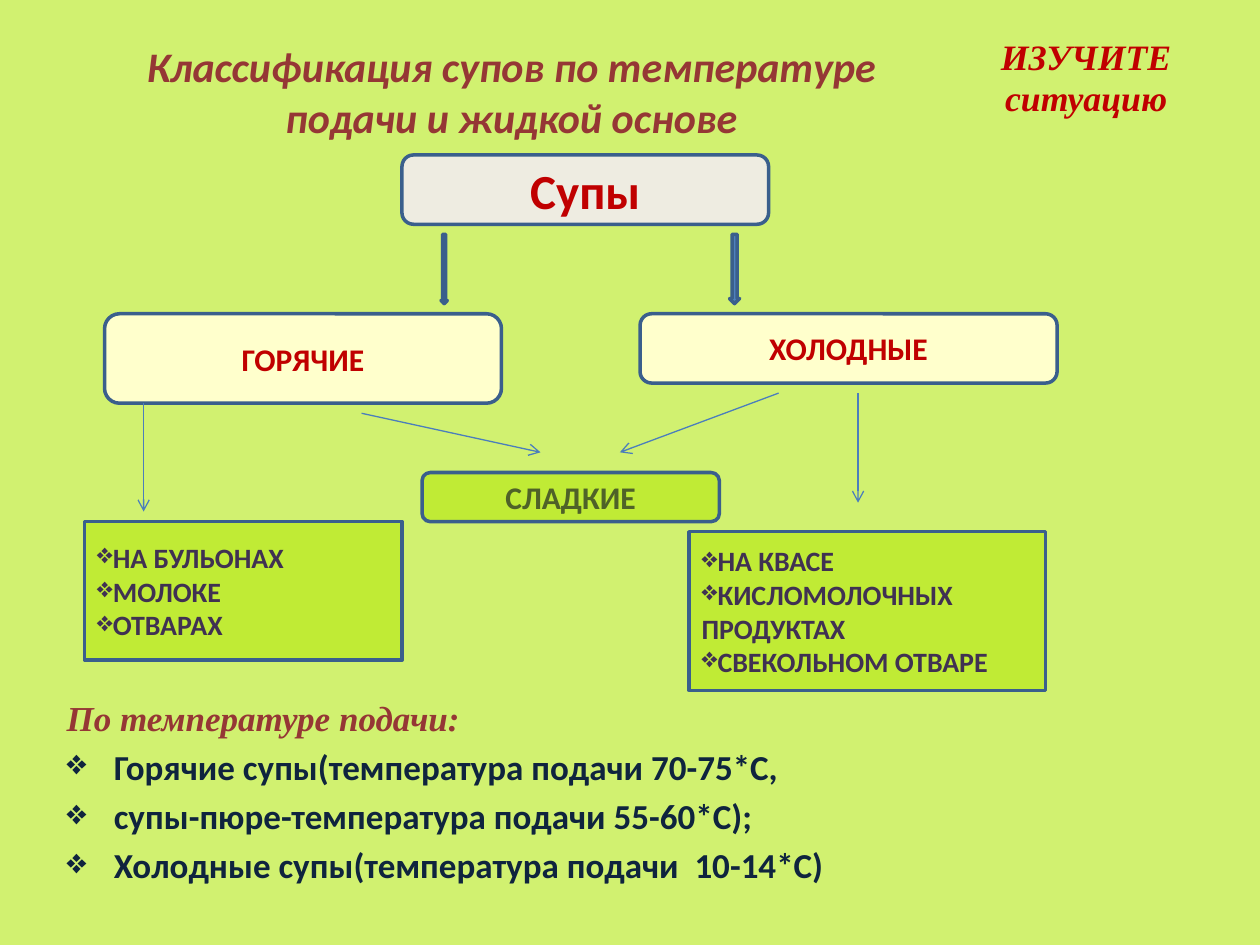
import pptx
import pptx.util
import pptx.dml.color
import pptx.enum.shapes
import pptx.enum.text
import pptx.oxml
import pptx.oxml.ns
from dataclasses import dataclass

COLS, ROWS = 100, 75
KIND = pptx.enum.shapes.MSO_SHAPE
ALIGN = pptx.enum.text.PP_ALIGN
ANCHOR = pptx.enum.text.MSO_ANCHOR


@dataclass(frozen=True)
class Theme:
    back: str = "D1F170"
    lime: str = "C0EB35"
    cream: str = "FFFFCC"
    stone: str = "EEECE1"
    blue: str = "4F81BD"
    edge: str = "3A5F8C"
    link: str = "4B7EBC"
    red: str = "C00000"
    brown: str = "953735"
    green: str = "4F6228"
    plum: str = "403152"
    navy: str = "0F243E"
    sans: str = "Calibri"
    serif: str = "Times New Roman"
    top: float = 28
    title: float = 24
    note: float = 20.4
    body: float = 20
    label: float = 18
    item: float = 16
    border: float = 2
    thin: float = 0.75


T = Theme()


def cell(count):
    """Length of a number of grid cells; the grid is square."""
    return pptx.util.Inches(count * 10 / COLS)


def place(*counts):
    return [cell(count) for count in counts]


def rgb(code):
    return pptx.dml.color.RGBColor.from_string(code)


def style(color, size, name=T.sans, italic=False):
    return dict(color=color, size=size, name=name, bold=True, italic=italic)


def bullet(para, indent):
    props = para._p.get_or_add_pPr()
    props.set("marL", str(indent))
    props.set("indent", str(-indent))
    mark = pptx.oxml.ns.qn("a:buChar")
    props.append(props.makeelement(mark, {"char": "❖"}))


def write(frame, lines, align=ALIGN.LEFT, indent=0, lead=None, gap=0):
    """Fill a frame with lines given as (text, style, bulleted)."""
    frame.word_wrap = True
    for rank, (text, look, marked) in enumerate(lines):
        para = frame.add_paragraph() if rank else frame.paragraphs[0]
        if marked:
            bullet(para, cell(indent))
        form = dict(alignment=align, line_spacing=lead)
        if rank and gap:
            form["space_before"] = pptx.util.Pt(gap)
        for key, value in form.items():
            setattr(para, key, value)
        run = para.add_run()
        run.text = text
        for key, value in look.items():
            if key == "color":
                run.font.color.rgb = rgb(value)
            else:
                setattr(run.font, key, pptx.util.Pt(value) if key == "size" else value)


def add_text(slide, spot, lines, anchor=ANCHOR.TOP, inset=1, **form):
    frame = slide.shapes.add_textbox(*place(*spot)).text_frame
    frame.vertical_anchor = anchor
    frame.margin_left = frame.margin_right = cell(inset)
    write(frame, lines, **form)


def add_box(slide, kind, spot, fill, lines=(), align=ALIGN.CENTER):
    box = slide.shapes.add_shape(kind, *place(*spot))
    box.shadow.inherit = False
    box.fill.solid()
    box.fill.fore_color.rgb = rgb(fill)
    box.line.color.rgb = rgb(T.edge)
    box.line.width = pptx.util.Pt(T.border)
    box.text_frame.vertical_anchor = ANCHOR.MIDDLE
    write(box.text_frame, lines, align)


def add_arrow(slide, ends):
    straight = pptx.enum.shapes.MSO_CONNECTOR.STRAIGHT
    arrow = slide.shapes.add_connector(straight, *place(*ends))
    arrow.line.color.rgb = rgb(T.link)
    arrow.line.width = pptx.util.Pt(T.thin)
    line = arrow.line._get_or_add_ln()
    line.append(line.makeelement(pptx.oxml.ns.qn("a:tailEnd"), {"type": "arrow"}))
    props = arrow._element.spPr
    props.append(props.makeelement(pptx.oxml.ns.qn("a:effectLst"), {}))


def add_heads(slide):
    add_text(slide, (5.1, 2.9, 71, 8.7),
             [("Классификация супов по температуре подачи и жидкой основе",
               style(T.brown, T.title, italic=True), False)],
             anchor=ANCHOR.MIDDLE, inset=3, align=ALIGN.CENTER)
    look = style(T.red, T.note, T.serif, True)
    add_text(slide, (75.2, 2.9, 22, 7.4),
             [(word, look, False) for word in ("ИЗУЧИТЕ", "ситуацию")],
             align=ALIGN.CENTER, lead=0.8, gap=4)


def add_tree(slide):
    labels = [
        ("Супы", (31.9, 12.3, 29.1, 5.5), T.stone, T.red, T.top),
        ("ГОРЯЧИЕ", (8.3, 24.9, 31.5, 7.1), T.cream, T.red, T.label),
        ("ХОЛОДНЫЕ", (50.8, 24.9, 33.1, 5.5), T.cream, T.red, T.label),
        ("СЛАДКИЕ", (33.5, 37.5, 23.6, 3.9), T.lime, T.green, T.label),
    ]
    for text, spot, fill, color, size in labels:
        add_box(slide, KIND.ROUNDED_RECTANGLE, spot, fill,
                [(text, style(color, size), False)])
    for left, width in ((57.9, 0.8), (35, 0.5)):
        add_box(slide, KIND.DOWN_ARROW, (left, 18.6, width, 5.5), T.blue)
    for ends in ((28.7, 32.8, 42.9, 35.9), (61.8, 31.2, 49.2, 35.9),
                 (11.4, 32, 11.4, 40.6), (68.1, 31.2, 68.1, 39.9)):
        add_arrow(slide, ends)
    lists = [
        ((54.7, 42.2, 28.3, 12.6),
         ("НА КВАСЕ", "КИСЛОМОЛОЧНЫХ ПРОДУКТАХ", "СВЕКОЛЬНОМ ОТВАРЕ")),
        ((6.7, 41.4, 25.2, 11), ("НА БУЛЬОНАХ", "МОЛОКЕ", "ОТВАРАХ")),
    ]
    look = style(T.plum, T.item)
    for spot, items in lists:
        add_box(slide, KIND.RECTANGLE, spot, T.lime,
                [(item, look, True) for item in items], ALIGN.LEFT)


def add_notes(slide):
    items = ("Горячие супы(температура подачи 70-75*C,",
             "супы-пюре-температура подачи 55-60*С);",
             "Холодные супы(температура подачи  10-14*С)")
    lines = [("По температуре подачи:", style(T.brown, T.body, T.serif, True), False)]
    lines += [(item, style(T.navy, T.body), True) for item in items]
    add_text(slide, (4.3, 54.8, 89.8, 15.7), lines, indent=3.75, gap=4)


def main():
    deck = pptx.Presentation()
    deck.slide_width, deck.slide_height = place(COLS, ROWS)
    slide = deck.slides.add_slide(deck.slide_layouts[6])
    slide.background.fill.solid()
    slide.background.fill.fore_color.rgb = rgb(T.back)
    add_heads(slide)
    add_tree(slide)
    add_notes(slide)
    deck.save("out.pptx")


if __name__ == "__main__":
    main()
